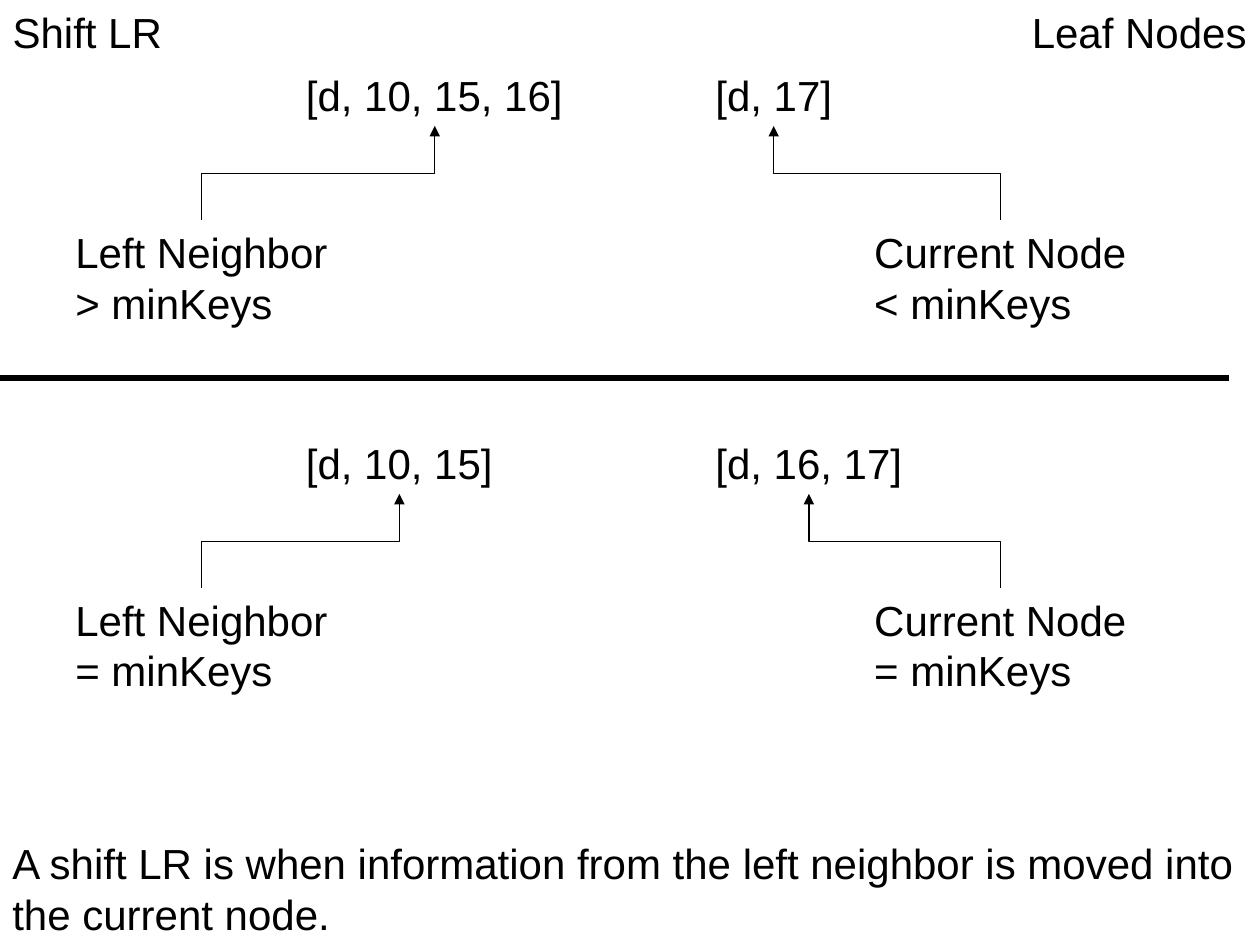
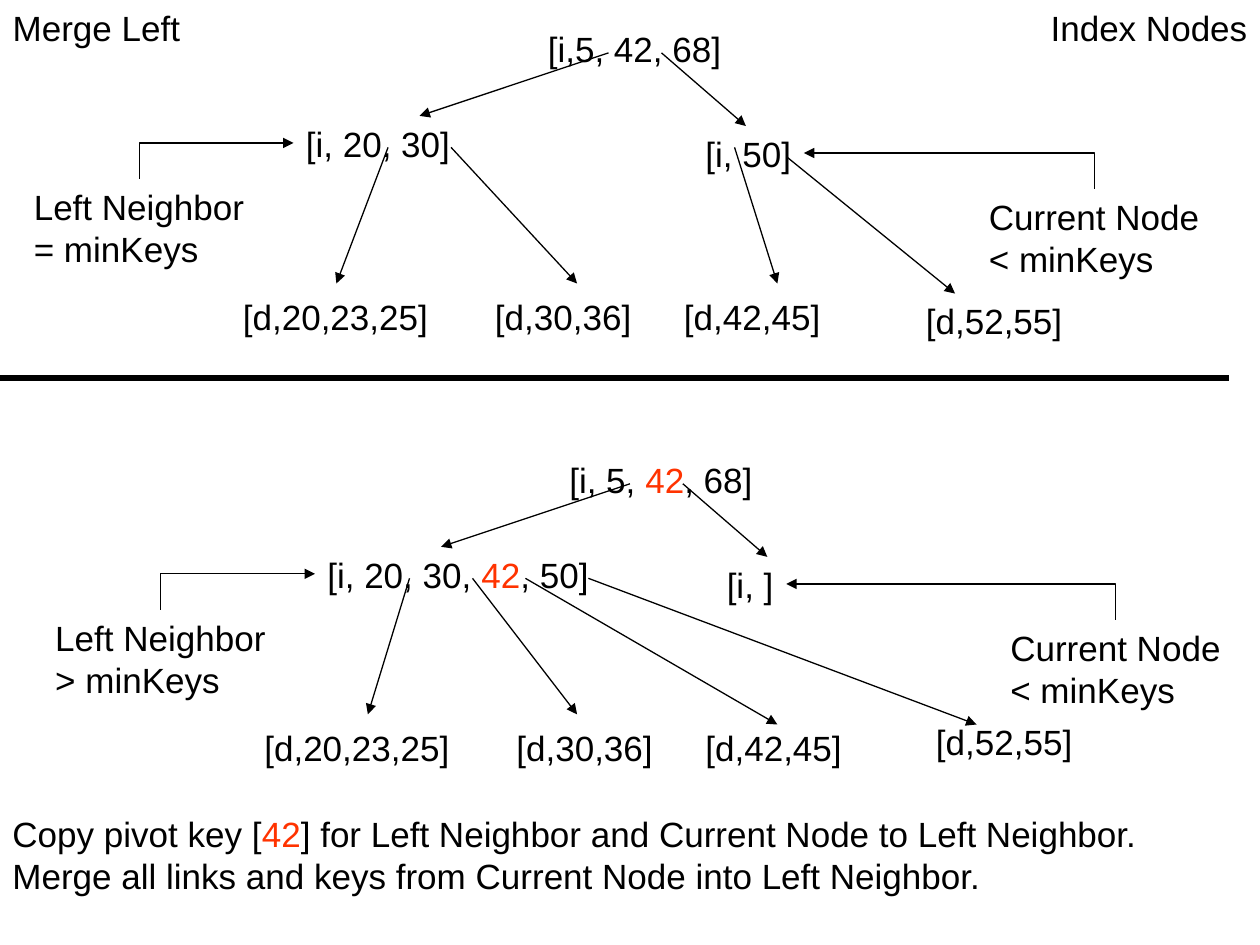
from lxml.etree import SubElement
from pptx import Presentation
from pptx.dml.color import RGBColor
from pptx.enum.shapes import MSO_CONNECTOR as Conn
from pptx.enum.text import MSO_ANCHOR as Anchor, MSO_AUTO_SIZE as Auto, PP_ALIGN as Align
from pptx.oxml.ns import qn
from pptx.util import Inches, Pt

FONT, BLACK, RED = "Arial", "000000", "FF3300"
LEFT, CURRENT = "Left Neighbor\n{} minKeys", "Current Node\n{} minKeys"


def paint(target, color):
    """Give a font or line its colour from a hex string."""
    fill = target.fill
    fill.solid()
    fill.fore_color.rgb = RGBColor.from_string(color)


def place(shape, x, y, w, h):
    """Set the box of a shape in inches."""
    shape.left, shape.top, shape.width, shape.height = map(Inches, (x, y, w, h))


def write(shape, text, size):
    """Fill a shape with left-aligned lines; parts between bars are red."""
    frame = shape.text_frame
    frame.word_wrap = True
    frame.margin_right = 0
    frame.auto_size = Auto.NONE
    frame.vertical_anchor = Anchor.TOP
    for row, line in enumerate(text.split("\n")):
        para = frame.add_paragraph() if row else frame.paragraphs[0]
        para.alignment = Align.LEFT
        for part, piece in enumerate(line.split("|")):
            run = para.add_run()
            run.text = piece
            run.font.name, run.font.size = FONT, Pt(size)
            paint(run.font, RED if part % 2 else BLACK)


def tall(lines, size):
    """Return the height in inches of a box with this many lines."""
    return round(lines * size * 1.2 / 72 + 0.1, 2)


def label(slide, text, x, y, w, size, lines=0):
    """Add a text box and return its box in inches."""
    h = tall(lines or text.count("\n") + 1, size)
    box = slide.shapes.add_textbox(*map(Inches, (x, y, w, h)))
    write(box, text, size)
    return x, y, w, h


def link(slide, x1, y1, x2, y2, kind=Conn.STRAIGHT, width=0.75, head=True):
    """Add a black line, with an arrowhead at its end if wanted."""
    line = slide.shapes.add_connector(kind, *map(Inches, (x1, y1, x2, y2)))
    line.line.width = Pt(width)
    paint(line.line, BLACK)
    props = line._element.spPr
    if head:
        SubElement(props.find(qn("a:ln")), qn("a:tailEnd"), type="triangle")
    SubElement(props, qn("a:effectLst"))
    return line


def bend(slide, x1, y1, x2, y2, preset):
    """Add an elbow arrow that leaves upwards, as a turned connector."""
    midx, midy = (x1 + x2) / 2, (y1 + y2) / 2
    dx, dy = abs(x2 - x1) / 2, (y1 - y2) / 2
    side = 1 if x2 > x1 else -1
    line = link(slide, midx + side * dy, midy + dx,
                midx - side * dy, midy - dx, Conn.ELBOW)
    props = line._element.spPr
    props.find(qn("a:xfrm")).set("rot", str((90 if side > 0 else 270) * 60000))
    props.find(qn("a:prstGeom")).set("prst", preset)


def base(deck, title, width, topic, left, note, y, size):
    """Add a slide with its title, topic, divider and closing note."""
    slide = deck.slides.add_slide(deck.slide_layouts[5])
    head = slide.shapes.title
    place(head, 0, 0, width, tall(1, size))
    write(head, title, size)
    label(slide, topic, left, 0, 10 - left, size)
    link(slide, 0, 3, 9.75, 3, width=3, head=False)
    label(slide, note, 0, y, 10, size, 2)
    return slide


def shift(slide, y, nodes, signs):
    """Draw two leaf nodes at height y, with captions pointing up at them."""
    captions = (LEFT, 0.5), (CURRENT, 6.84)
    for (text, w), x, (caption, side), sign in zip(nodes, (2.33, 5.58), captions, signs):
        nx, ny, nw, nh = label(slide, text, x, y, w, 24)
        cx, cy, cw, _ = label(slide, caption.format(sign), side, y + 1.25, 2.2, 24)
        bend(slide, cx + cw / 2, cy, nx + nw / 2, ny + nh, "bentConnector3")


def tree(slide, x, y, root, left, right, sign, last, links):
    """Draw an index tree from the corner x, y with captions at its sides."""
    def put(text, dx, dy, w):
        return label(slide, text, x + dx, y + dy, w, 20)

    put(*root)
    lx, ly, _, lh = put(left[0], 2.33, 0.92, left[1])
    rx, ry, rw, rh = put(right[0], 5.5, 1, right[1])
    cx, cy, cw, _ = put(LEFT.format(sign), 0.17, 1.42, 1.87)
    bend(slide, cx + cw / 2, cy, lx, ly + lh / 2, "bentConnector2")
    cx, cy, cw, _ = put(CURRENT.format("<"), 7.75, 1.5, 1.87)
    bend(slide, cx + cw / 2, cy, rx + rw, ry + rh / 2, "bentConnector2")
    put("[d,20,23,25]", 1.83, 2.3, 1.67)
    put("[d,30,36]", 3.83, 2.3, 1.28)
    put("[d,42,45]", 5.33, 2.3, 1.28)
    put("[d,52,55]", *last, 1.28)
    fork = [(4.83, 0.42, 3.33, 0.92), (5.25, 0.42, 5.92, 1)]
    for x1, y1, x2, y2 in fork + links:
        link(slide, x + x1, y + y1, x + x2, y + y2)


def main():
    """Build both slides and save the deck."""
    deck = Presentation()
    deck.slide_width, deck.slide_height = Inches(10), Inches(7.5)

    leaf = base(deck, "Shift LR", 1.38, "Leaf Nodes", 8.09,
                "A shift LR is when information from the left neighbor is "
                "moved into the current node.", 6.6, 24)
    shift(leaf, 0.5, [("[d, 10, 15, 16]", 2.24), ("[d, 17]", 1.12)], "><")
    shift(leaf, 3.42, [("[d, 10, 15]", 1.68), ("[d, 16, 17]", 1.68)], "==")

    index = base(deck, "Merge Left", 1.53, "Index Nodes", 8.24,
                 "Copy pivot key [|42|] for Left Neighbor and Current Node to "
                 "Left Neighbor.\nMerge all links and keys from Current Node "
                 "into Left Neighbor.", 6.4, 20)
    tree(index, 0, 0, ("[i,5, 42, 68]", 4.25, 0.17, 1.57),
         ("[i, 20, 30]", 1.34), ("[i, 50]", 0.88), "=", (7.25, 2.33),
         [(3.08, 1.17, 2.67, 2.25), (3.58, 1.17, 4.58, 2.25),
          (5.83, 1.17, 6.17, 2.25), (6.25, 1.25, 7.58, 2.33)])
    tree(index, 0.17, 3.42, ("[i, 5, |42|, 68]", 4.25, 0.17, 1.65),
         ("[i, 20, 30, |42|, 50]", 2.27), ("[i, ]", 0.57), ">", (7.16, 2.25),
         [(3.08, 1.17, 2.75, 2.25), (3.58, 1.17, 4.41, 2.25),
          (4, 1.17, 6, 2.33), (4.5, 1.17, 7.58, 2.33)])
    deck.save("out.pptx")


if __name__ == "__main__":
    main()
